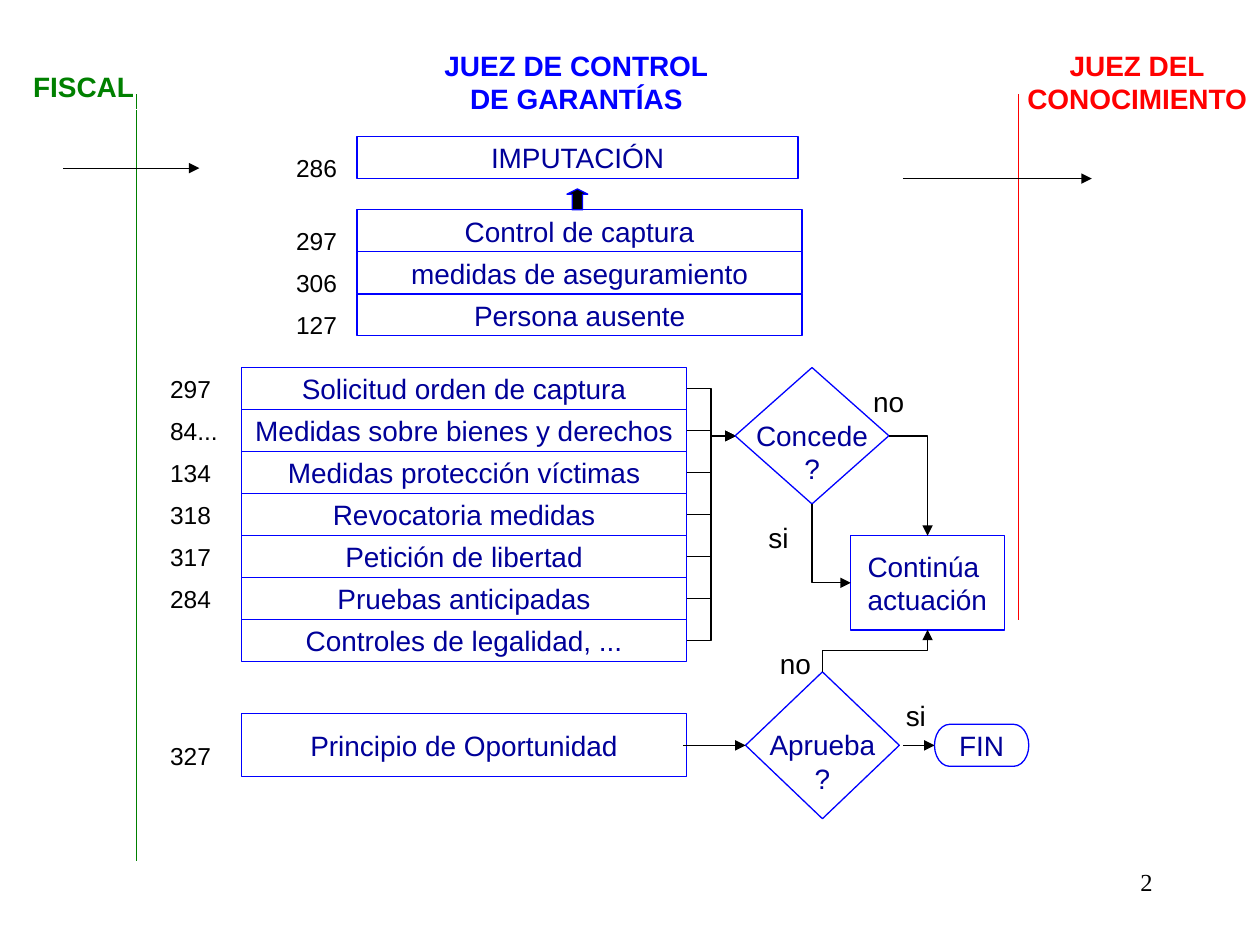
from lxml import etree
from pptx import Presentation
from pptx import util as u
from pptx.enum import shapes, text
from pptx.dml.color import RGBColor
from pptx.oxml.ns import qn

COLOURS = {"fiscal": "008000", "control": "0000FF", "trial": "FF0000",
           "label": "000099", "ink": "000000", "paper": "FFFFFF"}
SHAPE = shapes.MSO_SHAPE
CENTER, LEFT, RIGHT = text.PP_ALIGN.CENTER, text.PP_ALIGN.LEFT, text.PP_ALIGN.RIGHT
ROW = 5.93 / 7  # height of a list row, cm


def rgb(name):
    return RGBColor.from_string(COLOURS[name])


def write(shape, lines, colour, size=16, align=CENTER, font="Arial", bold=False,
          anchor=text.MSO_ANCHOR.TOP):
    frame = shape.text_frame
    frame.word_wrap = False
    frame.vertical_anchor = anchor
    frame.text = "\n".join(lines)
    for paragraph in frame.paragraphs:
        paragraph.alignment = align
        for run in paragraph.runs:
            run.font.name, run.font.size, run.font.bold = font, u.Pt(size), bold
            run.font.color.rgb = rgb(colour)


def add_label(slide, box, lines, colour="ink", **style):
    label = slide.shapes.add_textbox(*map(u.Cm, box))
    write(label, lines, colour, **style)
    if style.get("align") == LEFT:
        label.text_frame.margin_right = 0


def add_box(slide, kind, box, lines=(), fill=None, align=CENTER, line="control"):
    shape = slide.shapes.add_shape(kind, *map(u.Cm, box))
    shape.shadow.inherit = False
    if fill:
        shape.fill.solid()
        shape.fill.fore_color.rgb = rgb(fill)
    else:
        shape.fill.background()
    shape.line.color.rgb = rgb(line)
    shape.line.width = u.Pt(0.75)
    if lines:
        write(shape, lines, "label", align=align, anchor=text.MSO_ANCHOR.MIDDLE)
    return shape


def add_line(slide, start, end, colour="ink", arrow=True, elbow=False):
    kind = shapes.MSO_CONNECTOR.ELBOW if elbow else shapes.MSO_CONNECTOR.STRAIGHT
    line = slide.shapes.add_connector(kind, *map(u.Cm, (*start, *end)))
    line.line.color.rgb = rgb(colour)
    line.line.width = u.Pt(0.75)
    properties = line._element.spPr
    if arrow:
        outline = properties.find(qn("a:ln"))
        etree.SubElement(outline, qn("a:tailEnd"), type="triangle")
    etree.SubElement(properties, qn("a:effectLst"))
    return line


def add_upright_elbow(slide, start, end):
    """Elbow that leaves its start vertically: a level one, turned by 270 degrees."""
    (x1, y1), (x2, y2) = start, end
    middle_x, middle_y = (x1 + x2) / 2, (y1 + y2) / 2
    half_x, half_y = (x2 - x1) / 2, (y2 - y1) / 2
    line = add_line(slide, (middle_x + half_y, middle_y - half_x),
                    (middle_x - half_y, middle_y + half_x), elbow=True)
    line._element.spPr.find(qn("a:xfrm")).set("rot", "16200000")
    return line


def make_single_bend(line):
    line._element.spPr.find(qn("a:prstGeom")).set("prst", "bentConnector2")


def add_decision(slide, box, word):
    diamond = add_box(slide, SHAPE.FLOWCHART_DECISION, box, [word, "?"])
    diamond.text_frame.margin_top = u.Cm(0.78)


def add_lane(slide, line_box, colour, arrow_box):
    """Vertical border of a lane and the arrow that crosses it."""
    x, y, _, height = line_box
    add_line(slide, (x, y), (x, y + height), colour, arrow=False)
    x, y, width, _ = arrow_box
    add_line(slide, (x, y), (x + width, y))


def add_rows(slide, box, rows, number_x, number_drop):
    """Stacked rows, each with its article number at the left."""
    x, y, width, height = box
    for index, (number, name) in enumerate(rows):
        top = y + index * height
        add_box(slide, SHAPE.RECTANGLE, (x, top, width, height), [name])
        if number:
            add_label(slide, (x + number_x, top + number_drop, 1.4, 0.86),
                      [number], size=14, align=LEFT)


def add_charge(slide, box):
    x, y, width, _ = box
    add_rows(slide, (x, y, width - 0.08, ROW), [("286", "IMPUTACIÓN")], -1.48, 0.21)
    add_rows(slide, (x, y + 1.48, width, ROW),
             [("297", "Control de captura"), ("306", "medidas de aseguramiento"),
              ("127", "Persona ausente")], -1.48, 0.21)
    arrow = add_box(slide, SHAPE.UP_ARROW, (x + 4.23, y + 1.06, 0.42, 0.42), fill="ink")
    arrow.adjustments[1] = 0.25


def add_requests(slide, box):
    x, y, width, _ = box
    rows = [("297", "Solicitud orden de captura"),
            ("84...", "Medidas sobre bienes y derechos"),
            ("134", "Medidas protección víctimas"),
            ("318", "Revocatoria medidas"),
            ("317", "Petición de libertad"),
            ("284", "Pruebas anticipadas"),
            ("", "Controles de legalidad, ...")]
    add_rows(slide, (x, y, width, ROW), rows, -1.69, 0)
    target = (x + width + 0.99, y + 1.38)
    for index in range(len(rows)):
        add_line(slide, (x + width, y + (index + 0.5) * ROW), target, elbow=True)


def add_ruling(slide, box):
    x, y, _, _ = box
    add_decision(slide, (x, y, 3.1, 2.75), "Concede")
    proceed = add_box(slide, SHAPE.FLOWCHART_PROCESS, (x + 2.33, y + 3.39, 3.1, 1.9),
                      ["Continúa", "actuación"], align=LEFT)
    proceed.text_frame.margin_left = u.Cm(0.34)
    proceed.text_frame.margin_right = 0
    proceed.text_frame.word_wrap = True
    make_single_bend(add_upright_elbow(slide, (x + 1.55, y + 2.75), (x + 2.33, y + 4.34)))
    make_single_bend(add_line(slide, (x + 3.1, y + 1.38), (x + 3.88, y + 3.39), elbow=True))
    add_label(slide, (x + 2.53, y + 0.21, 1.98, 0.94), ["no"], align=LEFT)
    add_label(slide, (x + 0.42, y + 2.96, 0.91, 0.94), ["si"], align=LEFT)


def add_opportunity(slide, box):
    x, y, width, height = box
    middle = y + height / 2
    add_rows(slide, box, [("327", "Principio de Oportunidad")], -1.69, 0.42)
    add_decision(slide, (x + 10.16, middle - 1.48, 3.1, 2.96), "Aprueba")
    add_line(slide, (x + width - 0.07, middle), (x + 10.16, middle))
    add_line(slide, (x + 13.34, middle), (x + 13.97, middle))
    add_box(slide, SHAPE.FLOWCHART_TERMINATOR,
            (x + 13.97, middle - ROW / 2, 1.9, ROW), ["FIN"], fill="paper")
    add_upright_elbow(slide, (x + 11.71, middle - 1.48), (x + 13.83, middle - 2.33))
    add_label(slide, (x + 10.6, middle - 2.12, 1.12, 0.94), ["no"], align=LEFT)
    add_label(slide, (x + 13.14, middle - 1.06, 0.91, 0.94), ["si"], align=LEFT)


def add_headings(slide, box):
    x, y, _, height = box
    fiscal = add_box(slide, SHAPE.RECTANGLE, (x, y + 0.42, 3.66, 0.94), line="paper")
    write(fiscal, ["FISCAL"], "fiscal", align=LEFT, bold=True)
    fiscal.text_frame.word_wrap = True
    control = add_box(slide, SHAPE.RECTANGLE, (x + 8.29, y, 5.82, height), line="paper")
    write(control, ["JUEZ DE CONTROL", "DE GARANTÍAS"], "control", bold=True)
    add_label(slide, (x + 20.03, y, 4.95, height),
              ["JUEZ DEL", "CONOCIMIENTO"], "trial", bold=True)


def main():
    presentation = Presentation()
    presentation.slide_width, presentation.slide_height = u.Cm(25.4), u.Cm(19.05)
    slide = presentation.slides.add_slide(presentation.slide_layouts[6])
    add_lane(slide, (2.75, 1.9, 0, 15.45), "fiscal", (1.27, 3.39, 2.75, 0))
    add_lane(slide, (20.53, 1.9, 0, 10.6), "trial", (18.2, 3.6, 3.81, 0))
    add_charge(slide, (7.2, 2.75, 8.97, 4.03))
    add_requests(slide, (4.87, 7.41, 8.97, 5.93))
    add_ruling(slide, (14.82, 7.41, 5.43, 5.29))
    add_opportunity(slide, (4.87, 14.39, 8.97, 1.27))
    add_headings(slide, (0.42, 0.85, 24.98, 1.62))
    add_label(slide, (18.2, 17.35, 5.29, 1.27), ["2"], size=14, align=RIGHT,
              font="Times New Roman")
    presentation.save("out.pptx")


if __name__ == "__main__":
    main()
